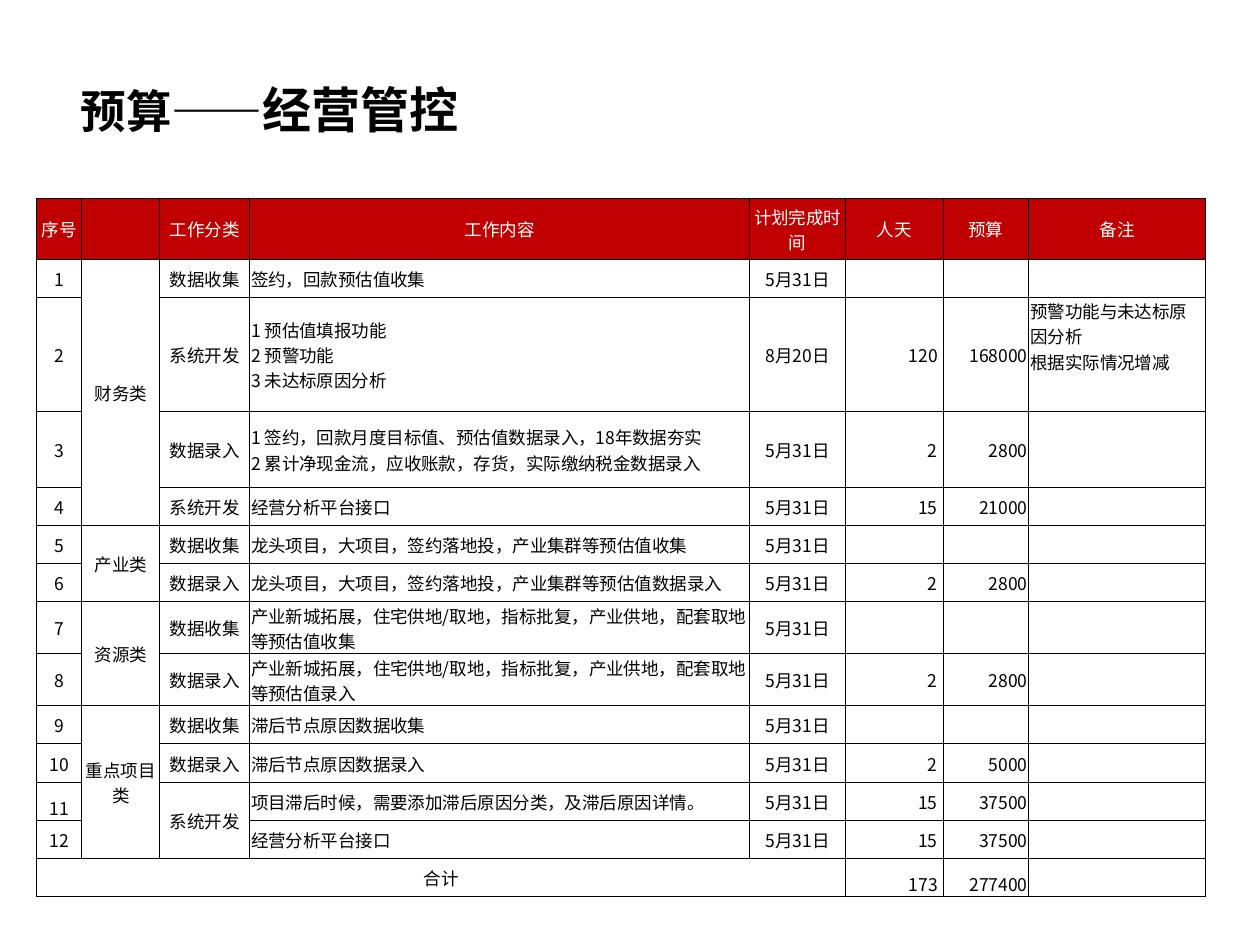
from dataclasses import dataclass

from lxml import etree
from pptx import Presentation
from pptx.dml.color import RGBColor
from pptx.enum.text import MSO_ANCHOR, PP_ALIGN
from pptx.oxml.ns import qn
from pptx.util import Cm, Pt

LEFT, CENTER, RIGHT = PP_ALIGN.LEFT, PP_ALIGN.CENTER, PP_ALIGN.RIGHT
TOP, MIDDLE, BOTTOM = MSO_ANCHOR.TOP, MSO_ANCHOR.MIDDLE, MSO_ANCHOR.BOTTOM


@dataclass(frozen=True)
class Theme:
    font: str = "Noto Sans CJK SC"
    ink: str = "000000"
    header_ink: str = "FFFFFF"
    header_fill: str = "C00000"
    title_size: int = 26
    topic_size: int = 28
    cell_size: int = 10
    border: float = 0.5


class SlideBuilder:
    def __init__(self, slide, theme):
        self.slide = slide
        self.theme = theme

    def add_run(self, paragraph, text, size, color, bold=False):
        run = paragraph.add_run()
        run.text = text
        run.font.size = Pt(size)
        run.font.bold = bold
        run.font.name = self.theme.font
        run.font.color.rgb = RGBColor.from_string(color)
        east_asian = etree.Element(qn("a:ea"), typeface=self.theme.font)
        run.font._element.find(qn("a:latin")).addnext(east_asian)

    def title(self, parts, left, top, width, height):
        heading = self.slide.shapes.title
        heading.left, heading.top = Cm(left), Cm(top)
        heading.width, heading.height = Cm(width), Cm(height)
        heading.text_frame.vertical_anchor = MIDDLE
        paragraph = heading.text_frame.paragraphs[0]
        paragraph.alignment = LEFT
        paragraph.line_spacing = 0.9
        for text, size in parts:
            self.add_run(paragraph, text, size, self.theme.ink, bold=True)

    def table(self, left, top, widths, heights):
        frame = self.slide.shapes.add_table(
            len(heights), len(widths), Cm(left), Cm(top), Cm(sum(widths)), Cm(sum(heights)))
        table = frame.table
        table.first_row = table.horz_banding = False
        for column, width in zip(table.columns, widths):
            column.width = Cm(width)
        for row, height in zip(table.rows, heights):
            row.height = Cm(height)
        return table

    def borders(self, cell):
        properties = cell._tc.get_or_add_tcPr()
        for side in ("a:lnL", "a:lnR", "a:lnT", "a:lnB"):
            line = etree.SubElement(properties, qn(side), w=str(Pt(self.theme.border)))
            fill = etree.SubElement(line, qn("a:solidFill"))
            etree.SubElement(fill, qn("a:srgbClr"), val=self.theme.ink)

    def cell(self, cell, text, align, anchor=MIDDLE, header=False):
        theme = self.theme
        self.borders(cell)
        if header:
            cell.fill.solid()
            cell.fill.fore_color.rgb = RGBColor.from_string(theme.header_fill)
        else:
            cell.fill.background()
        cell.margin_left = cell.margin_right = cell.margin_top = Cm(0.03)
        cell.margin_bottom = 0
        cell.vertical_anchor = anchor
        paragraph = cell.text_frame.paragraphs[0]
        paragraph.alignment = align
        for number, line in enumerate(text.split("\n") if text else []):
            if number:
                paragraph.add_line_break()
            self.add_run(paragraph, line, theme.cell_size,
                         theme.header_ink if header else theme.ink)
        # Keeps empty cells from growing their row
        etree.SubElement(paragraph._p, qn("a:endParaRPr"), sz=str(theme.cell_size * 100))


HEADERS = ["序号", "", "工作分类", "工作内容", "计划完成时间", "人天", "预算", "备注"]
ALIGNS = [CENTER, CENTER, CENTER, LEFT, CENTER, RIGHT, RIGHT, LEFT]
WIDTHS = [0.91, 1.57, 1.81, 10.08, 1.94, 1.96, 1.73, 3.56]
ROW_HEIGHT = 0.77
HEIGHTS = [1.23, ROW_HEIGHT, 2.3, 1.53] + [ROW_HEIGHT] * 10
COLLECT, DEVELOP, ENTER = "数据收集", "系统开发", "数据录入"
MAY, AUGUST = "5月31日", "8月20日"
NOTES = {2: "预警功能与未达标原因分析\n根据实际情况增减"}

# Category: (kind of work, content, due date, person-days, budget)
BUDGET = {
    "财务类": [
        (COLLECT, "签约，回款预估值收集", MAY, 0, 0),
        (DEVELOP, "1 预估值填报功能\n2 预警功能\n3 未达标原因分析", AUGUST, 120, 168000),
        (ENTER, "1 签约，回款月度目标值、预估值数据录入，18年数据夯实\n"
                "2 累计净现金流，应收账款，存货，实际缴纳税金数据录入", MAY, 2, 2800),
        (DEVELOP, "经营分析平台接口", MAY, 15, 21000),
    ],
    "产业类": [
        (COLLECT, "龙头项目，大项目，签约落地投，产业集群等预估值收集", MAY, 0, 0),
        (ENTER, "龙头项目，大项目，签约落地投，产业集群等预估值数据录入", MAY, 2, 2800),
    ],
    "资源类": [
        (COLLECT, "产业新城拓展，住宅供地/取地，指标批复，产业供地，配套取地等预估值收集", MAY, 0, 0),
        (ENTER, "产业新城拓展，住宅供地/取地，指标批复，产业供地，配套取地等预估值录入", MAY, 2, 2800),
    ],
    "重点项目类": [
        (COLLECT, "滞后节点原因数据收集", MAY, 0, 0),
        (ENTER, "滞后节点原因数据录入", MAY, 2, 5000),
        (DEVELOP, "项目滞后时候，需要添加滞后原因分类，及滞后原因详情。", MAY, 15, 37500),
        ("", "经营分析平台接口", MAY, 15, 37500),
    ],
}


def budget_rows():
    """Table rows in order, and the (first, last) cells of each merge."""
    rows, merges = [HEADERS], []
    for category, tasks in BUDGET.items():
        first = len(rows)
        merges.append(((first, 1), (first + len(tasks) - 1, 1)))
        for offset, (work, content, due, days, cost) in enumerate(tasks):
            number = len(rows)
            rows.append([str(number), "" if offset else category, work, content, due,
                         f"{days} " if days else "", str(cost) if cost else "",
                         NOTES.get(number, "")])
            if not work:
                merges.append(((number - 1, 2), (number, 2)))
    tasks = [task for group in BUDGET.values() for task in group]
    days, cost = (sum(task[i] for task in tasks) for i in (3, 4))
    merges.append(((len(rows), 0), (len(rows), 4)))
    rows.append(["合计", "", "", "", "", f"{days} ", str(cost), ""])
    return rows, merges


def main():
    presentation = Presentation()
    presentation.slide_width, presentation.slide_height = Cm(25.4), Cm(19.05)
    slide = presentation.slides.add_slide(presentation.slide_layouts[5])
    theme = Theme()
    builder = SlideBuilder(slide, theme)

    # Title
    builder.title([("预算——", theme.title_size), ("经营管控", theme.topic_size)],
                  1.37, 1.52, 18.11, 1.52)

    # Budget table
    rows, merges = budget_rows()
    total = len(rows) - 1
    anchors = {(2, 7): TOP, (11, 0): BOTTOM, (total, 5): BOTTOM, (total, 6): BOTTOM}
    table = builder.table(0.74, 3.99, WIDTHS, HEIGHTS)
    for r, row in enumerate(rows):
        for c, text in enumerate(row):
            builder.cell(table.cell(r, c), text, CENTER if r == 0 else ALIGNS[c],
                         anchors.get((r, c), MIDDLE), header=r == 0)
    for first, last in merges:
        table.cell(*first).merge(table.cell(*last))

    presentation.save("out.pptx")


if __name__ == "__main__":
    main()
